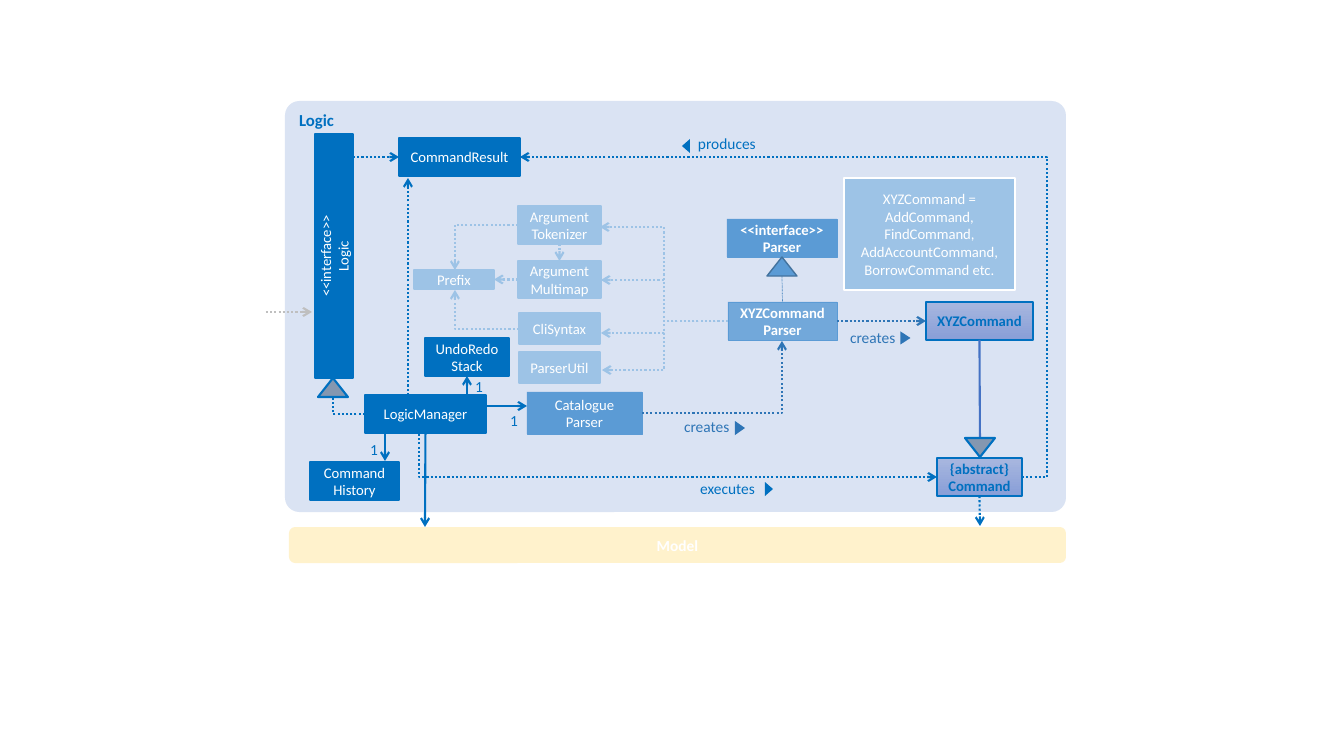
from lxml.etree import SubElement
from pptx import Presentation
from pptx.dml.color import RGBColor
from pptx.enum.dml import MSO_LINE
from pptx.enum.shapes import MSO_CONNECTOR, MSO_SHAPE
from pptx.enum.text import MSO_ANCHOR, PP_ALIGN
from pptx.oxml.ns import qn
from pptx.util import Pt

SCALE = 914400 / 100.8  # EMU per px
WIDE, HIGH = 1344, 756
FONT = "Calibri"
TOP, LEFT, BASE, RIGHT = range(4)

HUES = {
    "deep": "0070C0", "mid": "5B9BD5", "pale": "9DC3E6", "dark": "2E75B6",
    "edge": "43739E", "panel": "DAE3F3", "model": "FFF2CC", "slate": "8497B0",
    "grey": "BFBFBF", "link": "4472C4", "white": "FFFFFF",
    "light": "A8B7DF", "dusk": "889ED7",
}

# style: fill, line, line width, text, bold
LOOKS = {
    "deep": ("deep", "deep", 1.5, "white", False),
    "pale": ("pale", "pale", 1.5, "white", False),
    "mid": ("mid", "mid", 0.5, "white", False),
    "type": ("mid", "mid", 0.5, "white", True),
    "blend": (None, "deep", 1.5, "deep", True),
    "note": ("pale", "white", 1.5, "white", False),
}

# name: paragraphs, style, (left, top, width, height)
BOXES = {
    "result": (["CommandResult"], "deep", (399, 138, 121, 38)),
    "xyz": (["XYZCommand"], "blend", (926, 302, 107, 38)),
    "manager": (["LogicManager"], "deep", (365, 395, 121, 38)),
    "command": (["{abstract}", "Command"], "blend", (937, 458, 85, 38)),
    "book": (["Catalogue", "Parser"], "mid", (527, 392, 115, 42)),
    "logic": (["<<interface>>", "Logic"], "deep", (212, 237, 244, 38)),
    "token": (["Argument", "Tokenizer"], "pale", (518, 206, 83, 38)),
    "prefix": (["Prefix"], "pale", (414, 270, 80, 19)),
    "map": (["Argument", "Multimap"], "pale", (518, 261, 83, 37)),
    "syntax": (["CliSyntax"], "pale", (519, 313, 81, 31)),
    "util": (["ParserUtil"], "pale", (519, 352, 81, 31)),
    "past": (["Command", "History"], "deep", (310, 462, 89, 38)),
    "parser": (["<<interface>>", "Parser"], "type", (727, 219, 110, 38)),
    "maker": (["XYZCommand", "Parser"], "type", (728, 302, 109, 38)),
    "undo": (["UndoRedo", "Stack"], "deep", (425, 338, 84, 38)),
    "note": (["XYZCommand = AddCommand, FindCommand, AddAccountCommand, "
              "BorrowCommand etc."], "note", (844, 178, 171, 112)),
}

# start, end (a point or a box and its side), colour, width, dotted, arrow
LINES = [
    ((353, 157), ("result", LEFT), "deep", 1.5, True, True),
    (("command", BASE), (980, 526), "deep", 1.5, True, True),
    (("manager", BASE), (425, 527), "deep", 1.5, False, True),
    ((266, 312), (312, 312), "grey", 1.5, True, True),
    ((408, 395), (408, 178), "deep", 1.5, True, True),
    ((980, 438), ("xyz", BASE), "link", 1.5, False, False),
    (("maker", RIGHT), ("xyz", LEFT), "dark", 1.5, True, True),
    (("map", LEFT), ("prefix", RIGHT), "pale", 1.5, True, True),
    (("token", BASE), ("map", TOP), "pale", 1.5, True, True),
    ((385, 434), (385, 461), "deep", 1.5, False, True),
    ((487, 406), (527, 406), "deep", 1.5, False, True),
    ((782, 276), ("maker", TOP), "dark", 0.5, True, False),
    ((467, 395), ("undo", BASE), "deep", 1.5, False, True),
]

# start, end, x of the upright part, colour, arrow
BENDS = [
    ((1022, 477), (520, 157), 1047, "deep", True),
    ((419, 434), (937, 477), 419, "deep", True),
    ((365, 414), (333, 397), 333, "deep", False),
    ((519, 329), (455, 290), 455, "pale", True),
    ((518, 225), (455, 270), 455, "pale", True),
    ((642, 413), (782, 341), 782, "dark", True),
] + [((728, 321), end, 664, "pale", True)
     for end in [(600, 227), (601, 280), (601, 333), (602, 370)]]

# box, turn, fill, line, line width
HEADS = [
    ((318, 378, 30, 19), 0, "slate", "deep", 1.5),
    ((965, 438, 30, 19), 180, "slate", "deep", 1.5),
    ((767, 257, 30, 19), 0, "mid", "edge", 1),
    ((762, 485, 14, 8), 90, "deep", None, 0),
    ((679, 142, 14, 8), 270, "deep", None, 0),
    ((733, 423, 14, 10), 90, "dark", None, 0),
    ((899, 333, 13, 10), 90, "dark", None, 0),
]

# text, box, colour, alignment
LABELS = [
    ("executes", (674, 479, 81, 25), "deep", PP_ALIGN.RIGHT),
    ("produces", (698, 134, 81, 25), "deep", PP_ALIGN.LEFT),
    ("creates", (684, 417, 61, 28), "dark", PP_ALIGN.LEFT),
    ("creates", (850, 328, 66, 24), "dark", PP_ALIGN.LEFT),
] + [("1", (x, y, 14, 25), "deep", PP_ALIGN.RIGHT)
     for x, y in [(504, 411), (364, 440), (469, 377)]]

deck = Presentation()
deck.slide_width, deck.slide_height = round(WIDE * SCALE), round(HIGH * SCALE)
slide = deck.slides.add_slide(deck.slide_layouts[6])
shapes = slide.shapes


def emu(spots):
    return [round(n * SCALE) for n in spots]


def hue(name):
    return RGBColor.from_string(HUES[name])


def write(shape, paras, size, tint, bold=False, align=PP_ALIGN.CENTER):
    frame = shape.text_frame
    frame.word_wrap = True
    for i, text in enumerate(paras):
        para = frame.add_paragraph() if i else frame.paragraphs[0]
        para.alignment = align
        run = para.add_run()
        run.text = text
        run.font.name, run.font.size, run.font.bold = FONT, Pt(size), bold
        run.font.color.rgb = hue(tint)
    return frame


def draw(kind, box, fill, line=None, width=0):
    shape = shapes.add_shape(kind, *emu(box))
    shape.shadow.inherit = False
    if fill:
        shape.fill.solid()
        shape.fill.fore_color.rgb = hue(fill)
    else:
        shape.fill.gradient()
        shape.fill.gradient_angle = 270
        for stop, tint in zip(shape.fill.gradient_stops, ("light", "dusk")):
            stop.color.rgb = hue(tint)
    if line:
        shape.line.color.rgb = hue(line)
        shape.line.width = Pt(width)
    else:
        shape.line.fill.background()
    return shape


def adjust(shape, name, part):
    guides = shape.element.spPr.find(qn("a:prstGeom")).find(qn("a:avLst"))
    SubElement(guides, qn("a:gd"), name=name, fmla=f"val {part}")


def wire(kind, start, end, tint, width, dotted, arrow):
    spots = [p if isinstance(p[0], int) else (0, 0) for p in (start, end)]
    link = shapes.add_connector(kind, *emu(spots[0] + spots[1]))
    if isinstance(start[0], str):
        link.begin_connect(made[start[0]], start[1])
    if isinstance(end[0], str):
        link.end_connect(made[end[0]], end[1])
    link.line.color.rgb = hue(tint)
    link.line.width = Pt(width)
    if dotted:
        link.line.dash_style = MSO_LINE.ROUND_DOT
    props = link.element.spPr
    if arrow:
        SubElement(props.find(qn("a:ln")), qn("a:tailEnd"), type="arrow")
    SubElement(props, qn("a:effectLst"))
    return link


# Panels
panel = draw(MSO_SHAPE.ROUNDED_RECTANGLE, (285, 101, 781, 411), "panel")
panel.adjustments[0] = 0.035
write(panel, ["Logic"], 12, "deep", True,
      PP_ALIGN.LEFT).vertical_anchor = MSO_ANCHOR.TOP
model = draw(MSO_SHAPE.ROUNDED_RECTANGLE, (289, 527, 777, 36), "model")
write(model, ["Model"], 11, "white", True)

# Boxes
made = {}
for name, (paras, look, box) in BOXES.items():
    fill, line, width, tint, bold = LOOKS[look]
    kind = MSO_SHAPE.FOLDED_CORNER if look == "note" else MSO_SHAPE.RECTANGLE
    made[name] = draw(kind, box, fill, line, width)
    write(made[name], paras, 10.5, tint, bold)
adjust(made["note"], "adj", 0)
made["logic"].rotation = 270
solid = made["maker"].element.spPr.find(qn("a:solidFill"))
SubElement(solid.find(qn("a:srgbClr")), qn("a:alpha"), val="81000")

# Straight lines
for row in LINES:
    wire(MSO_CONNECTOR.STRAIGHT, *row)

# Bent lines: one corner if the upright part meets the end, else two
for start, end, via, tint, arrow in BENDS:
    link = wire(MSO_CONNECTOR.ELBOW, start, end, tint, 1.5, True, arrow)
    if via == end[0]:
        link.element.spPr.find(qn("a:prstGeom")).set("prst", "bentConnector2")
    else:
        part = (via - start[0]) / (end[0] - start[0])
        adjust(link, "adj1", round(100000 * part))

# Triangles
for box, turn, fill, line, width in HEADS:
    draw(MSO_SHAPE.ISOSCELES_TRIANGLE, box, fill, line, width).rotation = turn

# Labels
for text, box, tint, align in LABELS:
    frame = write(shapes.add_textbox(*emu(box)), [text], 11, tint, False, align)
    frame.margin_left = frame.margin_right = 0
    frame.margin_top = frame.margin_bottom = 0

deck.save("out.pptx")
